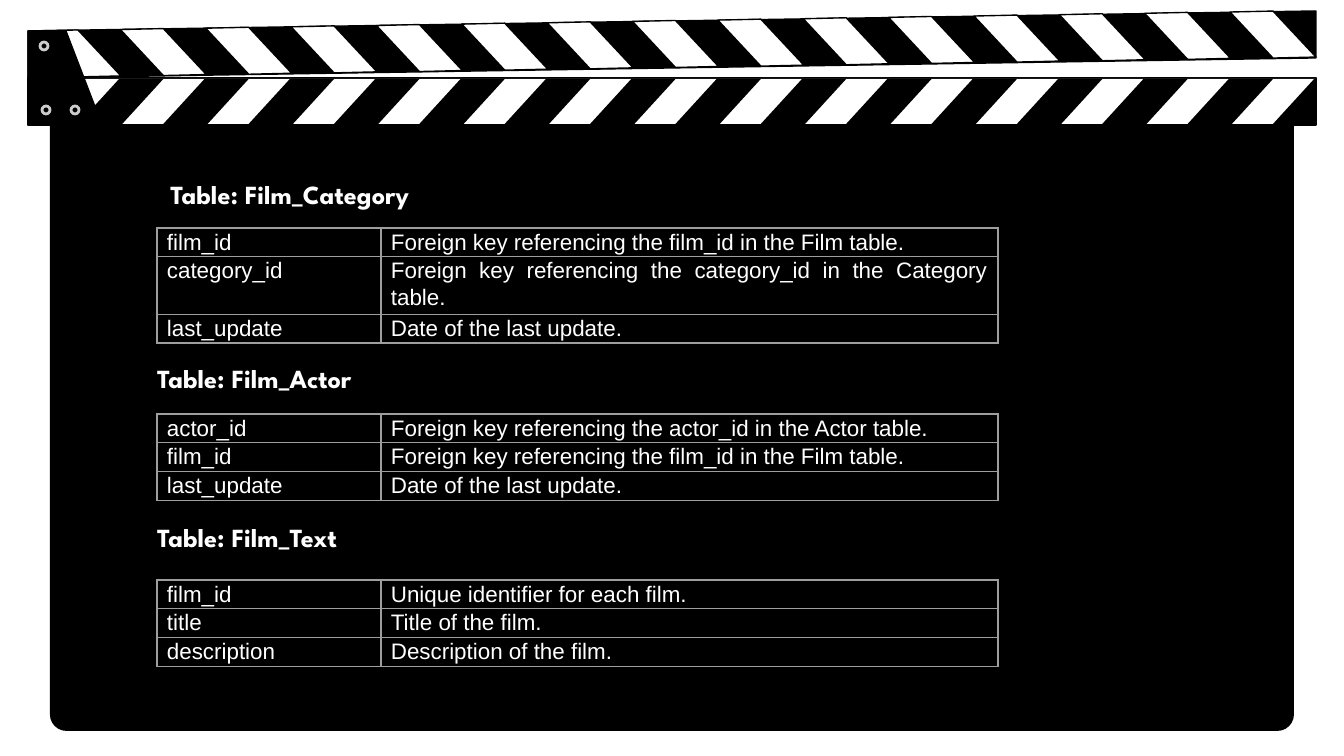
from lxml import etree
from pptx import Presentation
from pptx.dml.color import RGBColor
from pptx.enum.shapes import MSO_CONNECTOR, MSO_SHAPE
from pptx.enum.text import MSO_ANCHOR, MSO_AUTO_SIZE, PP_ALIGN
from pptx.oxml.ns import qn
from pptx.util import Pt

STRAIGHT = MSO_CONNECTOR.STRAIGHT
OVAL, ROUNDED = MSO_SHAPE.OVAL, MSO_SHAPE.ROUNDED_RECTANGLE
TOP, MIDDLE = MSO_ANCHOR.TOP, MSO_ANCHOR.MIDDLE
FIT_SHAPE = MSO_AUTO_SIZE.SHAPE_TO_FIT_TEXT
LEFT, JUSTIFY = PP_ALIGN.LEFT, PP_ALIGN.JUSTIFY

# Content: heading, heading box, table top, rows (column name, meaning, lines of text)
SECTIONS = [
    ("Table: Film_Category", (157, 171, 934, 46), 228, [
        ("film_id", "Foreign key referencing the film_id in the Film table.", 1),
        ("category_id", "Foreign key referencing the category_id in the Category table.", 2),
        ("last_update", "Date of the last update.", 1),
    ]),
    ("Table: Film_Actor", (144, 356, 672, 46), 414, [
        ("actor_id", "Foreign key referencing the actor_id in the Actor table.", 1),
        ("film_id", "Foreign key referencing the film_id in the Film table.", 1),
        ("last_update", "Date of the last update.", 1),
    ]),
    ("Table: Film_Text", (144, 515, 672, 46), 580, [
        ("film_id", "Unique identifier for each film.", 1),
        ("title", "Title of the film.", 1),
        ("description", "Description of the film.", 1),
    ]),
]

THEME = {
    "black": RGBColor.from_string("000000"), "white": RGBColor.from_string("FFFFFF"),
    "seam": RGBColor.from_string("171717"), "rivet": RGBColor.from_string("CCCCCC"),
    "border": "9E9E9E",
    "heading_font": "League Spartan", "heading_size": Pt(14),
    "cell_font": "Arial", "cell_size": Pt(12),
    "outline": Pt(0.75), "seam_width": Pt(0.48), "rivet_width": Pt(1.5),
}

# Layout in pixels
SLIDE = (1344, 756)
BOARD = (50, 97, 1244, 634)
STICK_LEFT, STICK_RIGHT = 28, 1316
SEAM_Y, STICK_BOTTOM = 78, 125
STRIPES, STRIPE_LEFT, STRIPE_PITCH, STRIPE_WIDTH = 15, 35, 85.36, 43
UPPER_TOP, UPPER_RISE = 30, 1.35
RIVETS, RIVET_SIZE = [(40, 42), (42, 106), (71, 106)], 8
TABLE_LEFT, COLUMNS, LINE_HEIGHT, CELL_INSET = 157, (224, 617), 27, 10


def px(value):
    return round(value * 914400 / 134.4)


def box(values):
    return [px(v) for v in values]


def paint(shape, fill, line=None, width=THEME["outline"]):
    shape.shadow.inherit = False
    shape.fill.solid()
    shape.fill.fore_color.rgb = fill
    if line is None:
        shape.line.fill.background()
    else:
        shape.line.color.rgb = line
        shape.line.width = width


def polygon(points, fill):
    start, *rest = [box(point) for point in points]
    builder = shapes.build_freeform(*start)
    builder.add_line_segments(rest, close=True)
    paint(builder.convert_to_shape(), fill, THEME["black"])


def write(frame, text, font, size, bold, align):
    paragraph = frame.paragraphs[0]
    paragraph.text = text
    paragraph.alignment = align
    paragraph.space_before = Pt(0)
    paragraph.font.name = THEME[font]
    paragraph.font.size = THEME[size]
    paragraph.font.bold = bold
    paragraph.font.color.rgb = THEME["white"]
    return paragraph


def add_borders(cell):
    properties = cell._tc.get_or_add_tcPr()
    for index, side in enumerate(("lnL", "lnR", "lnT", "lnB")):
        line = etree.Element(qn("a:" + side), w=str(THEME["outline"]))
        fill = etree.SubElement(line, qn("a:solidFill"))
        etree.SubElement(fill, qn("a:srgbClr"), val=THEME["border"])
        properties.insert(index, line)


prs = Presentation()
prs.slide_width, prs.slide_height = box(SLIDE)
slide = prs.slides.add_slide(prs.slide_layouts[2])
shapes = slide.shapes
title = shapes.title.element
title.getparent().remove(title)
first_heading = slide.placeholders[1]

# Board
board = shapes.add_shape(ROUNDED, *box(BOARD))
board.adjustments[0] = 0.026
paint(board, THEME["black"])

# Lower and upper clapper sticks with their stripes
polygon([(STICK_LEFT, SEAM_Y), (STICK_LEFT, STICK_BOTTOM),
         (STICK_RIGHT, STICK_BOTTOM), (STICK_RIGHT, SEAM_Y)], THEME["black"])
polygon([(STICK_RIGHT, 11), (STICK_LEFT, 31), (STICK_LEFT, 78), (STICK_RIGHT, 58)],
        THEME["black"])
for number in range(STRIPES):
    x = STRIPE_LEFT + number * STRIPE_PITCH
    middle, right = x + STRIPE_WIDTH, x + 2 * STRIPE_WIDTH
    y = UPPER_TOP - number * UPPER_RISE
    polygon([(middle, SEAM_Y), (x, STICK_BOTTOM), (middle, STICK_BOTTOM), (right, SEAM_Y)],
            THEME["white"])
    polygon([(middle, y), (x, y + 1), (middle, y + 47), (right, y + 46)], THEME["white"])

seam = shapes.add_connector(STRAIGHT, *box((STICK_LEFT, SEAM_Y, STICK_RIGHT, SEAM_Y)))
seam.line.color.rgb = THEME["seam"]
seam.line.width = THEME["seam_width"]
etree.SubElement(seam.element.spPr, qn("a:effectLst"))

# Hinge and rivets
polygon([(STICK_LEFT, 31), (STICK_LEFT, STICK_BOTTOM), (102, STICK_BOTTOM), (66, 31)],
        THEME["black"])
for x, y in RIVETS:
    rivet = shapes.add_shape(OVAL, *box((x, y, RIVET_SIZE, RIVET_SIZE)))
    paint(rivet, THEME["black"], THEME["rivet"], THEME["rivet_width"])

# Headings and tables
for number, (heading, place, top, rows) in enumerate(SECTIONS):
    if number == 0:
        label = first_heading
        label.left, label.top, label.width, label.height = box(place)
        label.element.getparent().append(label.element)
    else:
        label = shapes.add_textbox(*box(place))
    frame = label.text_frame
    frame.word_wrap = True
    frame.auto_size = FIT_SHAPE
    frame.vertical_anchor = MIDDLE if number == 0 else TOP
    write(frame, heading, "heading_font", "heading_size", True, LEFT)

    height = LINE_HEIGHT * sum(lines for _, _, lines in rows)
    table = shapes.add_table(len(rows), len(COLUMNS),
                             *box((TABLE_LEFT, top, sum(COLUMNS), height))).table
    table.first_row = table.horz_banding = False
    for column, width in zip(table.columns, COLUMNS):
        column.width = px(width)
    for row, (*texts, lines) in zip(table.rows, rows):
        row.height = px(lines * LINE_HEIGHT)
        for cell, text in zip(row.cells, texts):
            cell.margin_left = cell.margin_right = px(CELL_INSET)
            cell.margin_top = cell.margin_bottom = 0
            cell.fill.background()
            add_borders(cell)
            paragraph = write(cell.text_frame, text, "cell_font", "cell_size", False, JUSTIFY)
            paragraph.line_spacing = 1.07
            paragraph.space_after = Pt(8)

prs.save("out.pptx")
